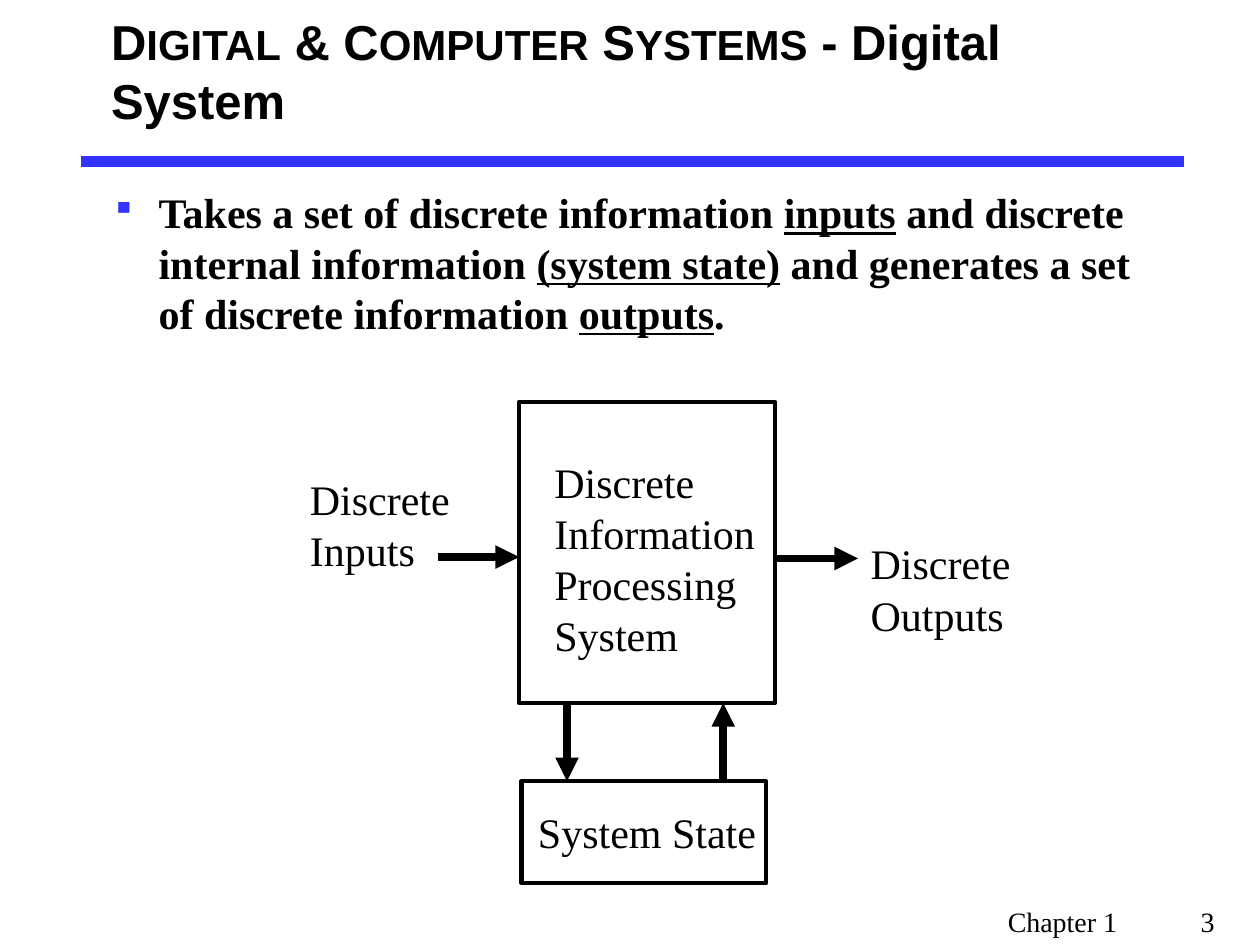
import pptx
import pptx.util
import pptx.dml.color
import pptx.enum.shapes
import pptx.enum.text
import pptx.oxml.ns
from dataclasses import dataclass
from lxml import etree


@dataclass(frozen=True)
class Theme:
    ink: str = "000000"
    accent: str = "3333FF"
    heading_font: str = "Arial"
    text_font: str = "Times New Roman"
    capital: int = 28
    small_capital: int = 24
    text: int = 24
    footer: int = 16
    bullet_share: str = "80000"
    rule: float = 6
    outline: float = 2.5
    arrow: float = 4.5


THEME = Theme()
WIDTH, HEIGHT = pptx.util.Inches(10), pptx.util.Inches(7.5)

# All positions are percentages of the slide's width and height.
TITLE_AT = (7.84, 0, 85, 14.93)
TITLE = [("D", THEME.capital), ("IGITAL", THEME.small_capital),
         (" & C", THEME.capital), ("OMPUTER", THEME.small_capital),
         (" S", THEME.capital), ("YSTEMS", THEME.small_capital),
         (" - Digital System", THEME.capital)]

DEFINITION_AT = (7.85, 19.1, 85, 73.33)
DEFINITION = [("Takes a set of discrete information ", False), ("inputs", True),
              (" and discrete internal information ", False),
              ("(system state)", True),
              (" and generates a set of discrete information ", False),
              ("outputs", True), (".", False)]

FOOTER_AT = (79, 95.07, 21, 4.93)
FOOTER = "Chapter 1\t3"
PAGE_TAB = 15.3

RULE = (6.4, 17.07, 94, 17.07)
PROCESSOR_AT = (41.2, 42.53, 20.3, 31.87)
STATE_AT = (41.4, 82.67, 19.4, 10.8)
INPUT_START, OUTPUT_END = 34.8, 68.1
INPUT_LEVEL, OUTPUT_LEVEL = 58.95, 59.1
TO_STATE, FROM_STATE = 45, 57.4

# Left, top of the first line, then each line with its width
LABELS = [
    (44, 48.27, [("Discrete", 11.4), ("Information", 16.2),
                 ("Processing", 14.8), ("System", 10.1)]),
    (24.6, 50.13, [("Discrete", 11.4), ("Inputs", 8.6)]),
    (69.1, 56.93, [("Discrete", 11.4), ("Outputs", 10.9)]),
    (42.7, 85.33, [("System State", 17.6)]),
]
LABEL_HEIGHT, LABEL_PITCH = 5.33, 5.4


def across(percent):
    return round(WIDTH * percent / 100)


def down(percent):
    return round(HEIGHT * percent / 100)


def place(at):
    left, top, width, height = at
    return across(left), down(top), across(width), down(height)


def color(code):
    return pptx.dml.color.RGBColor.from_string(code)


def add_element(parent, tag, **attributes):
    return etree.SubElement(parent, pptx.oxml.ns.qn(tag), attributes)


def add_text_frame(slide, at, wrap=True):
    frame = slide.shapes.add_textbox(*place(at)).text_frame
    frame.word_wrap = wrap
    return frame


def add_run(paragraph, words, size, font, bold=False, underline=False):
    run = paragraph.add_run()
    run.text = words
    run.font.size = pptx.util.Pt(size)
    run.font.name = font
    run.font.bold = bold
    run.font.underline = underline
    run.font.color.rgb = color(THEME.ink)


def add_box(slide, at):
    box = slide.shapes.add_shape(
        pptx.enum.shapes.MSO_SHAPE.RECTANGLE, *place(at))
    box.shadow.inherit = False
    box.fill.background()
    box.line.color.rgb = color(THEME.ink)
    box.line.width = pptx.util.Pt(THEME.outline)


def add_line(slide, ends, code, weight, arrow=False):
    x1, y1, x2, y2 = ends
    line = slide.shapes.add_connector(
        pptx.enum.shapes.MSO_CONNECTOR.STRAIGHT,
        across(x1), down(y1), across(x2), down(y2))
    line.line.color.rgb = color(code)
    line.line.width = pptx.util.Pt(weight)
    if arrow:
        add_element(line.line._get_or_add_ln(), "a:tailEnd", type="triangle")
    add_element(line._element.spPr, "a:effectLst")


def add_title(slide):
    frame = add_text_frame(slide, TITLE_AT)
    frame.vertical_anchor = pptx.enum.text.MSO_ANCHOR.MIDDLE
    for words, size in TITLE:
        add_run(frame.paragraphs[0], words, size, THEME.heading_font, bold=True)


def add_definition(slide):
    bullet = add_text_frame(slide, DEFINITION_AT).paragraphs[0]
    properties = bullet._p.get_or_add_pPr()
    indent = across(3.75)
    properties.set("marL", str(indent))
    properties.set("indent", str(-indent))
    add_element(add_element(properties, "a:buClr"), "a:srgbClr", val=THEME.accent)
    add_element(properties, "a:buSzPct", val=THEME.bullet_share)
    add_element(properties, "a:buChar", char="▪")
    for words, underline in DEFINITION:
        add_run(bullet, words, THEME.text, THEME.text_font, True, underline)


def add_footer(slide):
    footer = add_text_frame(slide, FOOTER_AT).paragraphs[0]
    stops = add_element(footer._p.get_or_add_pPr(), "a:tabLst")
    add_element(stops, "a:tab", pos=str(across(PAGE_TAB)), algn="l")
    add_run(footer, FOOTER, THEME.footer, THEME.text_font)


def add_label_line(slide, at, words):
    frame = add_text_frame(slide, at, wrap=False)
    frame.margin_left = frame.margin_right = 0
    frame.margin_top = frame.margin_bottom = 0
    add_run(frame.paragraphs[0], words, THEME.text, THEME.text_font)


def add_diagram(slide):
    add_box(slide, PROCESSOR_AT)
    add_box(slide, STATE_AT)

    left, top, width, height = PROCESSOR_AT
    right, bottom, state_top = left + width, top + height, STATE_AT[1]
    for ends in [(INPUT_START, INPUT_LEVEL, left, INPUT_LEVEL),
                 (right, OUTPUT_LEVEL, OUTPUT_END, OUTPUT_LEVEL),
                 (TO_STATE, bottom, TO_STATE, state_top),
                 (FROM_STATE, state_top, FROM_STATE, bottom)]:
        add_line(slide, ends, THEME.ink, THEME.arrow, arrow=True)

    for label_left, label_top, lines in LABELS:
        for row, (words, line_width) in enumerate(lines):
            line_top = label_top + row * LABEL_PITCH
            add_label_line(
                slide, (label_left, line_top, line_width, LABEL_HEIGHT), words)


def main():
    deck = pptx.Presentation()
    deck.slide_width, deck.slide_height = WIDTH, HEIGHT
    slide = deck.slides.add_slide(deck.slide_layouts[6])
    add_line(slide, RULE, THEME.accent, THEME.rule)
    add_footer(slide)
    add_title(slide)
    add_definition(slide)
    add_diagram(slide)
    deck.save("out.pptx")


if __name__ == "__main__":
    main()
